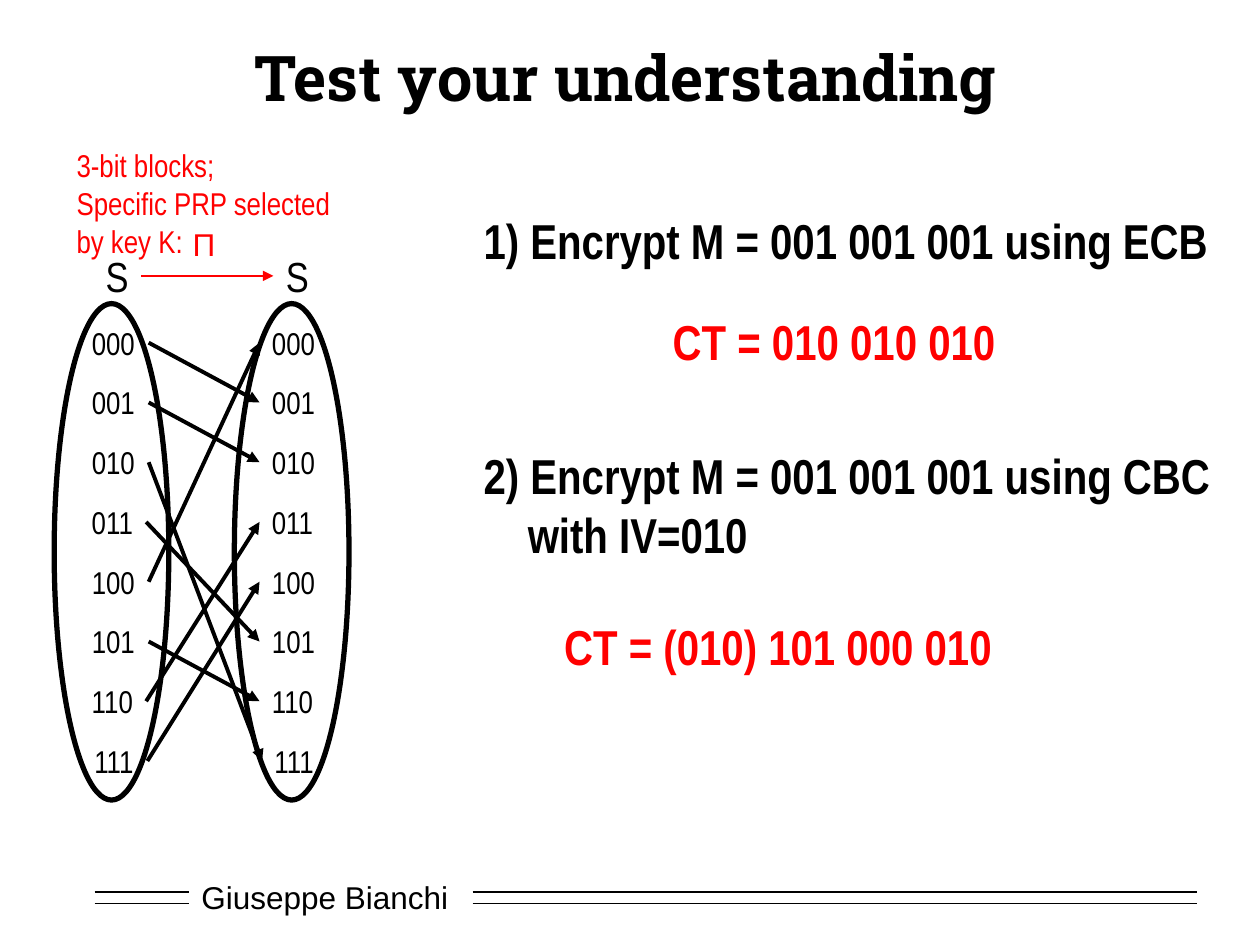
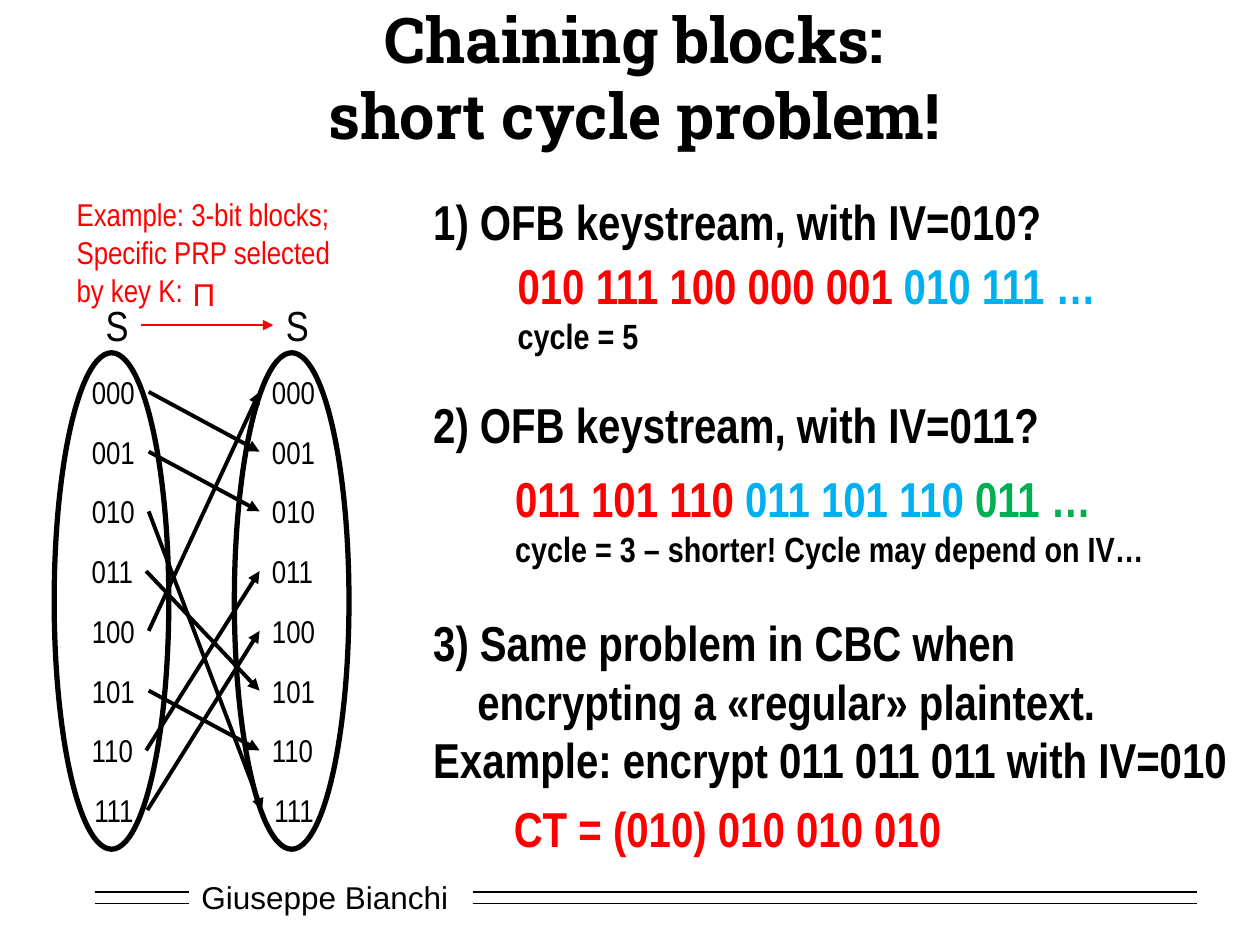
from pptx import Presentation
from pptx.dml.color import RGBColor
from pptx.enum.shapes import MSO_CONNECTOR as CONN, MSO_SHAPE as SHAPE
from pptx.enum.text import MSO_ANCHOR as ANCHOR, MSO_AUTO_SIZE as FIT, PP_ALIGN as ALIGN
from pptx.oxml.ns import qn
from pptx.util import Inches, Pt
from lxml import etree

BLACK, WHITE, RED, BLUE, GREEN = "000000", "FFFFFF", "FF0000", "00B0F0", "00B050"
NARROW, SANS, SLAB = "Arial Narrow", "Arial", "Roboto Slab"
TITLE = {"name": SLAB, "size": Pt(36), "bold": True}
LABEL = {"name": NARROW, "size": Pt(18)}
SET_NAME = {"name": NARROW, "size": Pt(24)}
SYMBOL = {"name": SANS, "size": Pt(18)}
BODY = {"name": NARROW, "size": Pt(28), "bold": True}
REMARK = {**BODY, "size": Pt(20)}
INDENT = 0.35
# The permutation: position n holds the image of n
PRP = [1, 2, 7, 5, 0, 6, 3, 4]


def rgb(color):
    """Turn a hex string into a colour."""
    return RGBColor.from_string(color)


def box(*lengths):
    """Turn left, top, width and height into lengths."""
    return [Inches(v) for v in lengths]


def style(r, color, fmt):
    """Apply a dict of font values and a colour to a run."""
    for key, value in fmt.items():
        setattr(r.font, key, value)
    r.font.color.rgb = rgb(color)


def write(sp, lines, color=BLACK, fmt=BODY, wrap=False):
    """Fill a shape with lines; a line is a string or a list of (text, colour, format)."""
    tf = sp.text_frame
    tf.word_wrap = wrap
    tf.auto_size = FIT.SHAPE_TO_FIT_TEXT
    tf.vertical_anchor = ANCHOR.MIDDLE if wrap else ANCHOR.TOP
    for i, line in enumerate(lines):
        p = tf.add_paragraph() if i else tf.paragraphs[0]
        p.alignment = ALIGN.LEFT
        for text, c, f in [(line, color, fmt)] if isinstance(line, str) else line:
            r = p.add_run()
            r.text = text
            style(r, c, f)
    return tf.paragraphs


def add_text(shapes, at, lines, color=BLACK, fmt=BODY):
    """Add an unwrapped text box and return its paragraphs."""
    return write(shapes.add_textbox(*box(*at)), lines, color, fmt)


def indent(p):
    """Move a continuation line to the right."""
    p._p.get_or_add_pPr().set("marL", str(Inches(INDENT)))


def add_shape(shapes, kind, at, fill=None, line=None):
    """Add a flat preset shape with an optional fill and outline."""
    sp = shapes.add_shape(kind, *box(*at))
    sp.shadow.inherit = False
    if fill:
        sp.fill.solid()
        sp.fill.fore_color.rgb = rgb(fill)
    else:
        sp.fill.background()
    if line:
        sp.line.color.rgb = rgb(line)
        sp.line.width = Pt(3)
    else:
        sp.line.fill.background()
    return sp


def add_line(shapes, start, end, color=BLACK, width=1.0, arrow=False):
    """Add a straight line, with an arrowhead at its end if asked."""
    cx = shapes.add_connector(CONN.STRAIGHT, *box(*start, *end))
    cx.line.color.rgb = rgb(color)
    cx.line.width = Pt(width)
    if arrow:
        etree.SubElement(cx.line._get_or_add_ln(), qn("a:tailEnd"), type="triangle")
    etree.SubElement(cx._element.spPr, qn("a:effectLst"))
    return cx


def add_footer(s, layout):
    """Draw the author's name between double rules, and hand it to the layout."""
    name = add_shape(s.shapes, SHAPE.RECTANGLE, (1.5, 6.92, 2.17, 0.4), WHITE)
    write(name, ["Giuseppe Bianchi "], fmt=SYMBOL, wrap=True)
    parts = [name] + [add_line(s.shapes, (x1, y), (x2, y))
                      for y in (7.08, 7.17) for x1, x2 in ((0.75, 1.5), (3.75, 9.5))]
    for part in parts:
        layout.shapes.element.append(part._element)


def add_title(s, text, at):
    """Place and format the title placeholder."""
    sp = s.shapes.title
    sp.left, sp.top, sp.width, sp.height = box(*at)
    tf = sp.text_frame
    tf.text = text
    tf.auto_size, tf.vertical_anchor = FIT.NONE, ANCHOR.MIDDLE
    p = tf.paragraphs[0]
    p.alignment = ALIGN.CENTER
    for r in p.runs:
        style(r, BLACK, TITLE)


def code_box(n, x, y):
    """Return the code of n and its label box; codes with kerned ones are narrower."""
    code = f"{n:03b}"
    if code == "111":
        x, width = x + 0.02, 0.52
    else:
        width = 0.53 if "11" in code else 0.55
    return code, (x, y + 0.47428 * n, width, 0.4)


def add_set(shapes, x, y):
    """Draw a named oval holding the eight codes, and return the code boxes."""
    places = []
    for n in range(len(PRP)):
        code, at = code_box(n, x + 0.2, y + 0.11)
        write(add_shape(shapes, SHAPE.RECTANGLE, at, WHITE), [code], fmt=LABEL)
        places.append(at)
    add_shape(shapes, SHAPE.OVAL, (x, y, 0.91, 3.94), line=BLACK)
    add_text(shapes, (x + 0.31, y - 0.47, 0.39, 0.5), ["S"], fmt=SET_NAME)
    return places


def add_permutation(s, x, y, note):
    """Draw the mapping between two sets, under a note whose top is y."""
    shapes = s.shapes.add_group_shape().shapes
    sources = add_set(shapes, x, y + 1.3)
    targets = add_set(shapes, x + 1.43, y + 1.3)
    add_line(shapes, (x + 0.69, y + 1.08), (x + 1.74, y + 1.08), RED, arrow=True)
    add_text(shapes, (x + 1.0, y + 0.63, 0.4, 0.5), ["Π"], RED, SYMBOL)
    for (left, top, width, height), n in zip(sources, PRP):
        end = targets[n]
        add_line(shapes, (left + width, top + height / 2),
                 (end[0], end[1] + height / 2), width=2.25, arrow=True)
    add_text(s.shapes, (x + 0.08, y, 2.3, 1.01),
             [note, "Specific PRP selected ", "by key K: "], RED, LABEL)


def add_exercises(s, x, y):
    """Write the two encryption questions and their answers."""
    ps = add_text(s.shapes, (x, y, 6.08, 2.93),
                  ["1) Encrypt M = 001 001 001 using ECB",
                   "2) Encrypt M = 001 001 001 using CBC ",
                   "with IV=010"])
    ps[1].space_before = Pt(101)
    indent(ps[2])
    add_text(s.shapes, (x + 1.5, y + 0.8, 2.79, 0.57), ["CT = 010 010 010"], RED)
    add_text(s.shapes, (x + 0.64, y + 3.22, 3.63, 0.57), ["CT = (010) 101 000 010"], RED)


def add_cycles(s, x, y):
    """Write the keystream questions, their cycles and the CBC case."""
    shapes = s.shapes
    add_text(shapes, (x, y, 5.07, 0.57), ["1) OFB keystream, with IV=010?"])
    add_text(shapes, (x + 0.67, y + 0.51, 4.83, 0.91), [
        [("010 111 100 000 001 ", RED, BODY), ("010 111 …", BLUE, BODY)],
        [("cycle = 5", BLACK, REMARK)]])
    add_text(shapes, (x + 0.65, y + 2.2, 5.22, 1.38), [
        [("011 101 110 ", RED, BODY), ("011 101 110 ", BLUE, BODY), ("011 …", GREEN, BODY)],
        [("cycle = 3 – shorter! Cycle may depend on IV…", BLACK, REMARK)]])
    add_text(shapes, (x, y + 1.61, 5.07, 0.57), ["2) OFB keystream, with IV=011?"])
    ps = add_text(shapes, (x, y + 3.34, 6.56, 1.51),
                  ["3) Same problem in CBC when ",
                   "encrypting a «regular» plaintext.",
                   "Example: encrypt 011 011 011 with IV=010"])
    indent(ps[1])
    add_text(shapes, (x + 0.64, y + 4.82, 3.63, 0.57), ["CT = (010) 010 010 010"], RED)


prs = Presentation()
prs.slide_width, prs.slide_height = Inches(10), Inches(7.5)
title_only = prs.slide_layouts[5]

s = prs.slides.add_slide(title_only)
add_footer(s, title_only)
add_title(s, "Test your understanding", (0.75, 0.25, 8.42, 0.71))
add_permutation(s, 0.43, 1.11, "3-bit blocks; ")
add_exercises(s, 3.74, 1.62)

s = prs.slides.add_slide(title_only)
add_title(s, "Chaining blocks:\vshort cycle problem!", (0.35, 0.25, 9.37, 0.71))
add_permutation(s, 0.43, 1.5, "Example: 3-bit blocks; ")
add_cycles(s, 3.34, 1.47)

prs.save("out.pptx")
